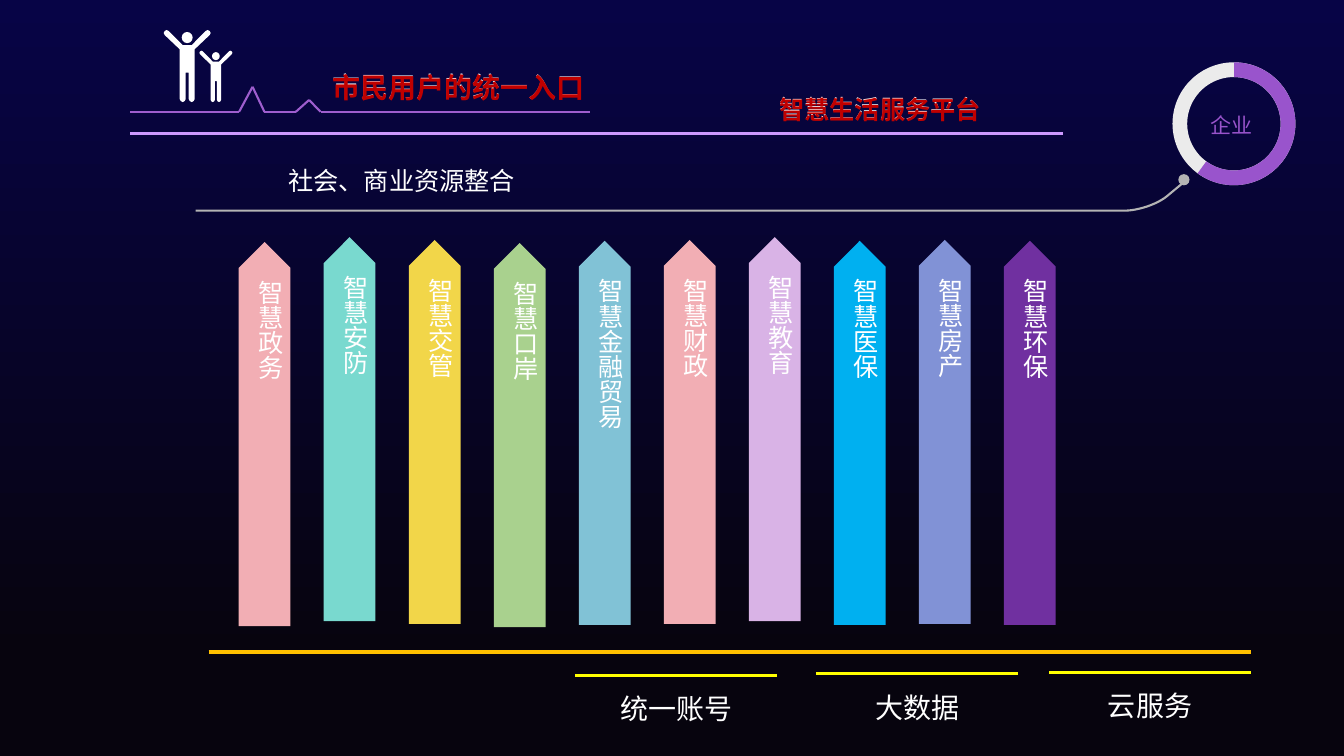
from lxml.etree import SubElement
from pptx import Presentation
from pptx.dml.color import RGBColor
from pptx.enum.shapes import MSO_CONNECTOR as CONNECTOR, MSO_SHAPE as SHAPE
from pptx.enum.text import MSO_ANCHOR as ANCHOR, MSO_AUTO_SIZE as AUTO, PP_ALIGN as ALIGN
from pptx.oxml.ns import qn
from pptx.util import Pt

COLORS = {
    "night": "070446", "black": "07040E", "white": "FFFFFF", "red": "C00000",
    "amber": "FFC000", "yellow": "FFFF00", "violet": "9E5ECE", "lilac": "CC99FF",
    "gray": "B4B4B4", "ring": "EBEBEB", "arc": "9954CC",
    "pink": "F2AEB4", "mint": "79D9CF", "gold": "F2D649", "green": "A9D18E",
    "teal": "81C2D6", "mauve": "D9B3E6", "blue": "00B0F0",
    "periwinkle": "8192D6", "purple": "7030A0",
}
SANS = "Noto Sans CJK SC"

# label, colour, top of the arrow
SERVICES = [
    ("智慧政务", "pink", 172.9), ("智慧安防", "mint", 169.4),
    ("智慧交管", "gold", 171.4), ("智慧口岸", "green", 173.6),
    ("智慧金融贸易", "teal", 172), ("智慧财政", "pink", 171.4),
    ("智慧教育", "mauve", 169.4), ("智慧医保", "blue", 172),
    ("智慧房产", "periwinkle", 171.4), ("智慧环保", "purple", 172),
]
# label, left and top of its rule
FOUNDATIONS = [("统一账号", 411, 482.4), ("大数据", 583.2, 481.2), ("云服务", 749.5, 480.2)]


def rgb(name):
    return RGBColor.from_string(COLORS[name])


def add_rule(page, start, end, color, width):
    rule = page.shapes.add_connector(
        CONNECTOR.STRAIGHT, *(Pt(value) for value in (*start, *end)))
    rule.line.color.rgb = rgb(color)
    rule.line.width = Pt(width)
    SubElement(rule._element.spPr, qn("a:effectLst"))


def paint(shape, color):
    shape.shadow.inherit = False
    shape.fill.solid()
    shape.fill.fore_color.rgb = rgb(color)
    shape.line.fill.background()


def add_block(page, kind, left, top, width, height, color):
    block = page.shapes.add_shape(kind, Pt(left), Pt(top), Pt(width), Pt(height))
    paint(block, color)
    return block


def add_outline(page, points, close):
    first, *rest = [(Pt(x), Pt(y)) for x, y in points]
    builder = page.shapes.build_freeform(*first, scale=1.0)
    builder.add_line_segments(rest, close=close)
    outline = builder.convert_to_shape()
    outline.shadow.inherit = False
    return outline


def add_text(page, text, left, top, width, height, size, color="white", font=SANS,
             align=ALIGN.LEFT, bold=False, spacing=None):
    box = page.shapes.add_textbox(Pt(left), Pt(top), Pt(width), Pt(height))
    frame = box.text_frame
    frame.word_wrap = True
    frame.auto_size = AUTO.SHAPE_TO_FIT_TEXT
    para = frame.paragraphs[0]
    para.alignment = align
    if spacing:
        para.line_spacing = spacing
    span = para.add_run()
    span.text = text
    span.font.size = Pt(size)
    span.font.bold = bold
    span.font.color.rgb = rgb(color)
    span.font.name = font
    SubElement(span._r.get_or_add_rPr(), qn("a:ea")).set("typeface", font)
    return frame


def paint_background(page):
    fill = page.background.fill
    fill.gradient()
    fill.gradient_angle = 270
    for stop, color, position in zip(fill.gradient_stops, ("night", "black"), (0, 0.87)):
        stop.color.rgb = rgb(color)
        stop.position = position


def add_embossed_title(page, text, left, top, width, size, **style):
    """Red bold title over a white copy that is slightly higher."""
    for rise, color, bold in ((0.7, "white", False), (0, "red", True)):
        add_text(page, text, left, top - rise, width, 28.8, size, color, bold=bold, **style)


def add_person(page, left, top, width, height):
    """Figure with raised arms, symmetric about its middle."""
    half = [(23.5, 15), (28, 15), (42, 1), (44, 0), (46, 1), (47, 3), (46, 5), (31, 19),
            (31, 68), (30, 70), (28, 71), (26, 70), (25, 68), (25, 42), (23.5, 42)]
    body = half + [(47 - x, y) for x, y in reversed(half[1:-1])]
    across, down = width / 47, height / 71
    paint(add_outline(page, [(left + x * across, top + y * down) for x, y in body], True),
          "white")
    add_block(page, SHAPE.OVAL, left + 18 * across, top + 2 * down,
              11 * across, 11 * down, "white")


def add_header(page):
    base = 79.9
    pulse = [(93, base), (170.8, base), (180.4, 62), (188.9, base), (211.3, base),
             (220.8, 71.4), (229, base), (421.4, base)]
    for start, end in zip(pulse, pulse[1:]):
        add_rule(page, start, end, "violet", 1.5)
    add_rule(page, (93, 95.2), (759.4, 95.2), "lilac", 2.25)
    add_person(page, 116.9, 21.4, 33.6, 51.5)
    add_person(page, 142.4, 36.2, 23.6, 36.7)
    add_embossed_title(page, "市民用户的统一入口", 230.4, 49.5, 357, 20, spacing=0.9)
    add_embossed_title(page, "智慧生活服务平台", 547.2, 64.1, 160.5, 18, align=ALIGN.RIGHT)
    add_text(page, "社会、商业资源整合", 198.9, 114.7, 296.6, 28.8, 18)


def curve_points(p0, p1, p2, p3, steps=12):
    """Points along a cubic curve."""
    for step in range(steps + 1):
        t = step / steps
        u = 1 - t
        yield tuple(u**3 * a + 3 * u * u * t * b + 3 * u * t * t * c + t**3 * d
                    for a, b, c, d in zip(p0, p1, p2, p3))


def add_enterprise_ring(page, left, top, size):
    end = (left + 9.4, top + 84.6)
    bend = curve_points((803, 150.5), (813, 150.5), (826.5, 146), (833.8, 140))
    lead = add_outline(page, [(139.7, 150.5), *bend, end], False)
    lead.fill.background()
    lead.line.color.rgb = rgb("gray")
    lead.line.width = Pt(1.5)
    add_block(page, SHAPE.OVAL, left + 4.2, top + 79.9, 8, 8, "gray")

    ring = add_block(page, SHAPE.DONUT, left, top, size, size, "ring")
    ring.adjustments[0] = 0.12
    arc = add_block(page, SHAPE.BLOCK_ARC, left, top, size, size, "arc")
    for index, value in enumerate((162.17, 75.76, 0.12)):
        arc.adjustments[index] = value
    frame = add_text(page, "企业", left + 5.8, top + 29.5, 72.7, 30.2, 15, "arc",
                     font="Arial", align=ALIGN.CENTER)
    frame.auto_size = AUTO.NONE
    frame.word_wrap = False
    frame.vertical_anchor = ANCHOR.MIDDLE


def add_service_arrows(page, left, pitch, width, height):
    for index, (label, color, top) in enumerate(SERVICES):
        x = left + index * pitch
        shift = (height - width) / 2
        arrow = add_block(page, SHAPE.PENTAGON, x - shift, top + shift, height, width, color)
        arrow.rotation = 270
        frame = add_text(page, label, x + 0.6, top + 20, 36, 233.3, 18, align=ALIGN.CENTER)
        frame._txBody.bodyPr.set("vert", "eaVert")


def add_foundations(page, left, top, right):
    add_rule(page, (left, top), (right, top), "amber", 3)
    for label, x, y in FOUNDATIONS:
        add_rule(page, (x, y), (x + 144.2, y), "yellow", 2.25)
        add_text(page, label, x - 14, y + 11, 172, 28.8, 20, align=ALIGN.CENTER, spacing=0.9)


def main():
    deck = Presentation()
    deck.slide_width, deck.slide_height = Pt(960), Pt(540)
    page = deck.slides.add_slide(deck.slide_layouts[6])
    paint_background(page)
    add_foundations(page, 149, 465.8, 893.5)
    add_header(page)
    add_service_arrows(page, 170.5, 60.73, 37, 274.3)
    add_enterprise_ring(page, 837.5, 44.5, 87.8)
    deck.save("out.pptx")


if __name__ == "__main__":
    main()
